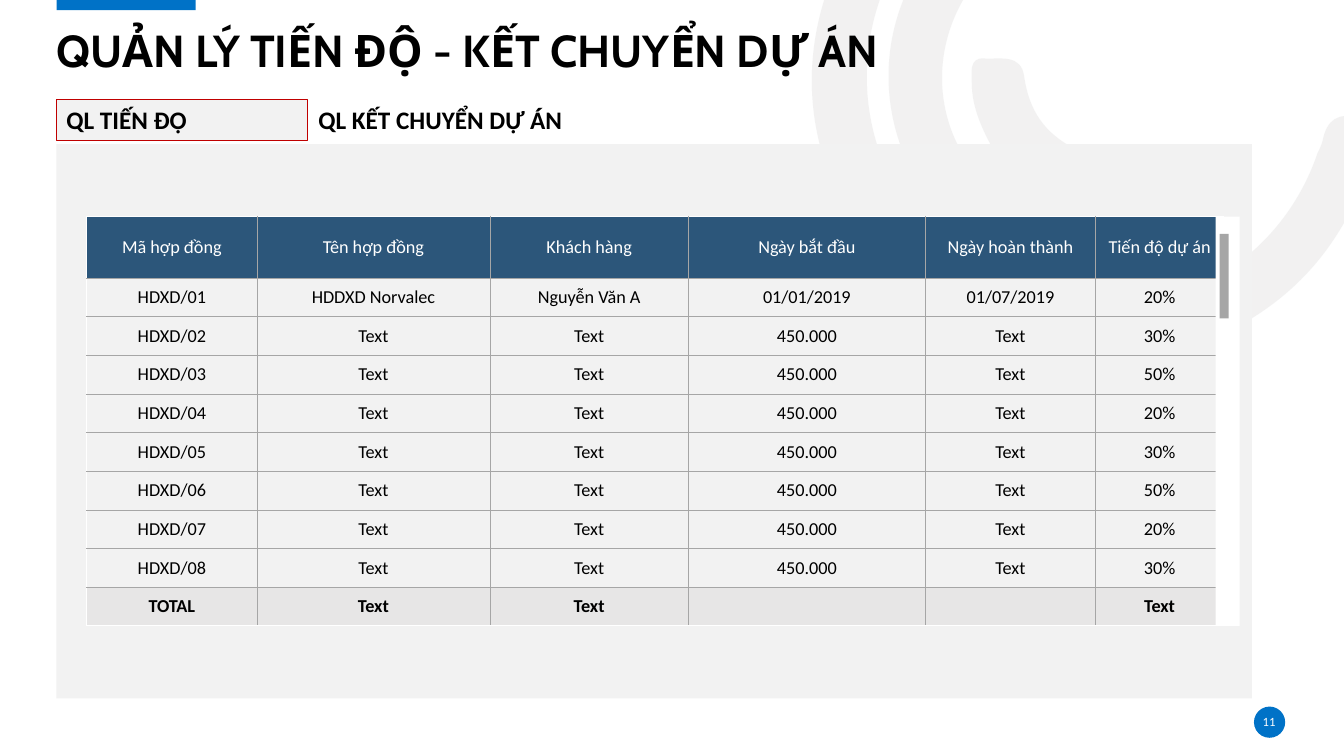
import math

from lxml import etree
from pptx import Presentation
from pptx.dml.color import RGBColor
from pptx.enum import shapes, text
from pptx.oxml import ns
from pptx.util import Inches, Pt

BLACK = RGBColor(0, 0, 0)
WHITE = RGBColor(255, 255, 255)
BLUE = RGBColor(0x00, 0x72, 0xC7)
NAVY = RGBColor(0x2C, 0x56, 0x7A)
RED = RGBColor(0xC0, 0, 0)
PANEL = RGBColor(0xF2, 0xF2, 0xF2)
PALE = RGBColor(0xE7, 0xE6, 0xE6)
GREY = RGBColor(0xA6, 0xA6, 0xA6)

TITLE = "QUẢN LÝ TIẾN ĐỘ - KẾT CHUYỂN DỰ ÁN"
ACTIVE_TAB, OTHER_TAB = "QL TIẾN ĐỘ", "QL KẾT CHUYỂN DỰ ÁN"
PAGE = "11"
HEADINGS = ["Mã hợp đồng", "Tên hợp đồng", "Khách hàng",
            "Ngày bắt đầu", "Ngày hoàn thành", "Tiến độ dự án"]
FIRST_CONTRACT = ["HDXD/01", "HDDXD Norvalec", "Nguyễn Văn A",
                  "01/01/2019", "01/07/2019", "20%"]
PROGRESS = ["30%", "50%", "20%", "30%", "50%", "20%", "30%"]
TOTALS = ["TOTAL", "Text", "Text", "", "", "Text"]
CONTRACTS = [HEADINGS, FIRST_CONTRACT] + [
    [f"HDXD/{number:02}", "Text", "Text", "450.000", "Text", done]
    for number, done in enumerate(PROGRESS, 2)
] + [TOTALS]
COLUMN_WIDTHS = [1.69, 2.31, 1.97, 2.35, 1.69, 1.27]
TABLE_LEFT, TABLE_TOP, TABLE_HEIGHT, HEADING_HEIGHT = 0.86, 2.15, 4.06, 0.61

# Each arc: pivot, start point, then cubic curves (two controls and an end point).
ARCS = [
    ((10.55, 0.98), (8.51, 2.29), [
        (7.99, 1.49, 7.87, 0.5, 8.38, -0.5), (8.9, -1.52, 9.76, -2.03, 10.9, -2.07),
        (11.05, -2.07, 11.21, -2.1, 11.31, -1.95), (11.44, -1.75, 11.27, -1.54, 10.98, -1.54),
        (9.67, -1.54, 8.65, -0.59, 8.6, 0.68), (8.56, 1.81, 9.36, 2.81, 10.46, 3.02),
        (11.6, 3.24, 12.7, 2.61, 13.07, 1.52), (13.09, 1.48, 13.11, 1.44, 13.12, 1.4),
        (13.16, 1.19, 13.27, 1.11, 13.49, 1.17), (13.73, 1.24, 13.67, 1.41, 13.61, 1.56),
        (13.34, 2.45, 12.78, 3.07, 11.91, 3.41), (10.7, 3.87, 9.36, 3.45, 8.51, 2.29)]),
    ((10.08, 1.35), (9.22, 1.99), [
        (8.62, 1.15, 8.69, 0.07, 9.4, -0.68), (9.51, -0.79, 9.62, -0.95, 9.8, -0.78),
        (9.95, -0.64, 9.97, -0.5, 9.79, -0.32), (9.25, 0.26, 9.2, 1.08, 9.65, 1.68),
        (10.08, 2.29, 10.88, 2.49, 11.61, 2.15), (11.82, 2.05, 11.93, 2.12, 12.03, 2.29),
        (12.13, 2.5, 11.97, 2.56, 11.83, 2.63), (10.96, 3.1, 9.83, 2.82, 9.22, 1.99)]),
    ((10.19, 1.29), (9.87, 1.51), [
        (9.75, 1.3, 9.64, 1.07, 9.64, 0.82), (9.64, 0.73, 9.61, 0.57, 9.76, 0.58),
        (9.92, 0.59, 10.13, 0.53, 10.16, 0.76), (10.21, 1.1, 10.36, 1.32, 10.67, 1.48),
        (10.88, 1.57, 10.76, 1.76, 10.72, 1.89), (10.68, 2.06, 10.55, 1.98, 10.45, 1.94),
        (10.21, 1.87, 10.03, 1.7, 9.87, 1.51)]),
]
ARC_ANGLE = 144.2


def paint(shape, fill, line=None):
    shape.shadow.inherit = False
    shape.fill.solid()
    shape.fill.fore_color.rgb = fill
    if line is None:
        shape.line.fill.background()
    else:
        shape.line.color.rgb = line
        shape.line.width = Pt(0.75)


def block(slide, box, fill, line=None, kind=shapes.MSO_SHAPE.RECTANGLE):
    shape = slide.shapes.add_shape(kind, *map(Inches, box))
    paint(shape, fill, line)
    return shape


def write(frame, words, size, color, bold=False, face="Calibri", align=text.PP_ALIGN.LEFT):
    paragraph = frame.paragraphs[0]
    paragraph.text = words
    paragraph.alignment = align
    font = paragraph.font
    font.name, font.size, font.bold = face, Pt(size), bold
    font.color.rgb = color
    return paragraph


def label(slide, box, anchor, inset=None):
    frame = slide.shapes.add_textbox(*map(Inches, box)).text_frame
    frame.word_wrap = True
    frame.vertical_anchor = anchor
    if inset is not None:
        frame.margin_left = frame.margin_right = Inches(inset)
        frame.margin_top = frame.margin_bottom = Inches(inset)
    return frame


def turn(point, pivot, degrees):
    angle = math.radians(degrees)
    dx, dy = point[0] - pivot[0], point[1] - pivot[1]
    return (pivot[0] + dx * math.cos(angle) - dy * math.sin(angle),
            pivot[1] + dx * math.sin(angle) + dy * math.cos(angle))


def add_arc(slide, pivot, start, curves):
    points = [start] + [curve[i:i + 2] for curve in curves for i in (0, 2, 4)]
    first, *others = [tuple(map(Inches, turn(point, pivot, -ARC_ANGLE))) for point in points]
    builder = slide.shapes.build_freeform(*first, scale=1.0)
    builder.add_line_segments(others, close=True)
    arc = builder.convert_to_shape()
    lines = list(arc._element.iter(ns.qn("a:lnTo")))
    for i in range(0, len(curves) * 3, 3):
        curve = etree.Element(ns.qn("a:cubicBezTo"))
        lines[i].addprevious(curve)
        for line in lines[i:i + 3]:
            curve.append(line[0])
            line.getparent().remove(line)
    middle = (arc.left + arc.width / 2, arc.top + arc.height / 2)
    x, y = turn(middle, tuple(map(Inches, pivot)), ARC_ANGLE)
    arc.left, arc.top = round(x - arc.width / 2), round(y - arc.height / 2)
    arc.rotation = ARC_ANGLE
    paint(arc, PALE)
    tint = arc._element.spPr.find(".//" + ns.qn("a:srgbClr"))
    etree.SubElement(tint, ns.qn("a:alpha"), val="53000")


def edge_cell(cell, outer_sides):
    properties = cell._tc.get_or_add_tcPr()
    for place, side in enumerate("LRTB"):
        color, width = (WHITE, 1) if side in outer_sides else (GREY, 0.5)
        edge = etree.Element(ns.qn(f"a:ln{side}"), w=str(Pt(width)))
        solid = etree.SubElement(edge, ns.qn("a:solidFill"))
        etree.SubElement(solid, ns.qn("a:srgbClr"), val=str(color))
        properties.insert(place, edge)


def add_contracts(slide):
    last_row, last_column = len(CONTRACTS) - 1, len(HEADINGS) - 1
    table = slide.shapes.add_table(
        len(CONTRACTS), len(HEADINGS), Inches(TABLE_LEFT), Inches(TABLE_TOP),
        Inches(sum(COLUMN_WIDTHS)), Inches(TABLE_HEIGHT)).table
    table.first_row = table.horz_banding = False
    for column, width in zip(table.columns, COLUMN_WIDTHS):
        column.width = Inches(width)
    for r, contract in enumerate(CONTRACTS):
        table.rows[r].height = Inches(
            HEADING_HEIGHT if r == 0 else (TABLE_HEIGHT - HEADING_HEIGHT) / last_row)
        for c, words in enumerate(contract):
            cell = table.cell(r, c)
            cell.vertical_anchor = text.MSO_ANCHOR.MIDDLE
            cell.margin_top = cell.margin_bottom = Inches(0.03)
            write(cell.text_frame, words, 13, WHITE if r == 0 else BLACK,
                  bold=r == last_row, align=text.PP_ALIGN.CENTER)
            if r in (0, last_row):
                cell.fill.solid()
                cell.fill.fore_color.rgb = NAVY if r == 0 else PALE
            else:
                cell.fill.background()
            edges = (("L", c == 0), ("R", c == last_column),
                     ("T", r == 0), ("B", r == last_row))
            edge_cell(cell, [side for side, outer in edges if outer])


def main():
    deck = Presentation()
    deck.slide_width, deck.slide_height = Inches(40 / 3), Inches(7.5)
    slide = deck.slides.add_slide(deck.slide_layouts[6])

    for pivot, start, curves in ARCS:
        add_arc(slide, pivot, start, curves)
    block(slide, (0.56, -0.02, 1.38, 0.12), BLUE).rotation = 180
    block(slide, (12.44, 7.01, 0.31, 0.31), BLUE, kind=shapes.MSO_SHAPE.OVAL)

    heading = label(slide, (0.56, 0.27, 12.19, 0.5), text.MSO_ANCHOR.BOTTOM, 0)
    write(heading, TITLE, 32, BLACK, True, "Cabin").line_spacing = 0.9
    page = label(slide, (12.43, 7.06, 0.32, 0.2), text.MSO_ANCHOR.MIDDLE, 0)
    write(page, PAGE, 9, WHITE, align=text.PP_ALIGN.CENTER)

    block(slide, (0.56, 1.43, 11.86, 5.5), PANEL)
    active = block(slide, (0.56, 0.99, 2.49, 0.4), PANEL, RED).text_frame
    active.word_wrap = True
    active.vertical_anchor = text.MSO_ANCHOR.TOP
    other = label(slide, (3.06, 0.99, 3.35, 0.4), text.MSO_ANCHOR.TOP)
    for tab, words in ((active, ACTIVE_TAB), (other, OTHER_TAB)):
        write(tab, words, 18, BLACK, True)

    add_contracts(slide)
    block(slide, (12.06, TABLE_TOP, 0.24, TABLE_HEIGHT), WHITE)
    block(slide, (12.1, 2.32, 0.09, 0.84), GREY)
    deck.save("out.pptx")


if __name__ == "__main__":
    main()
